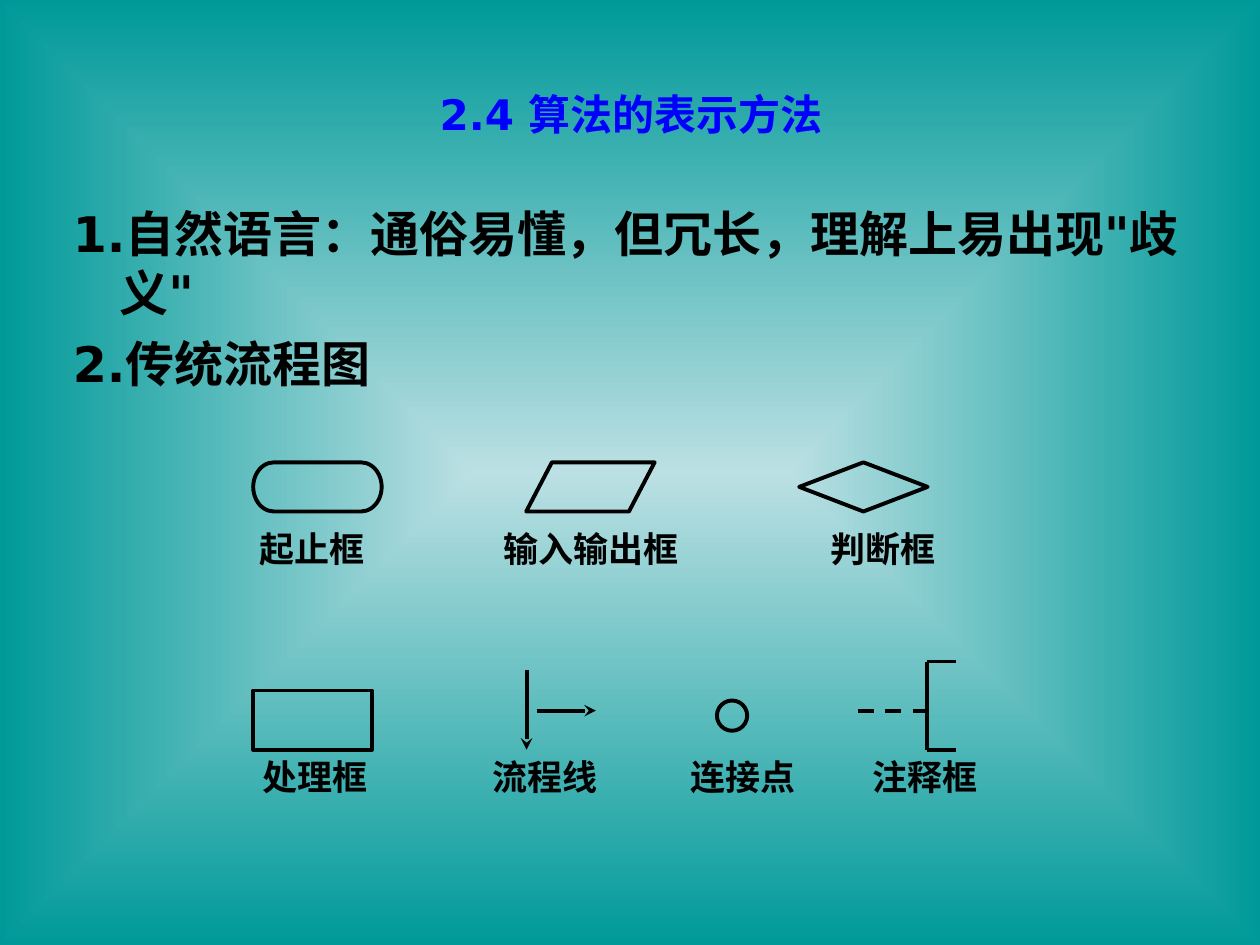
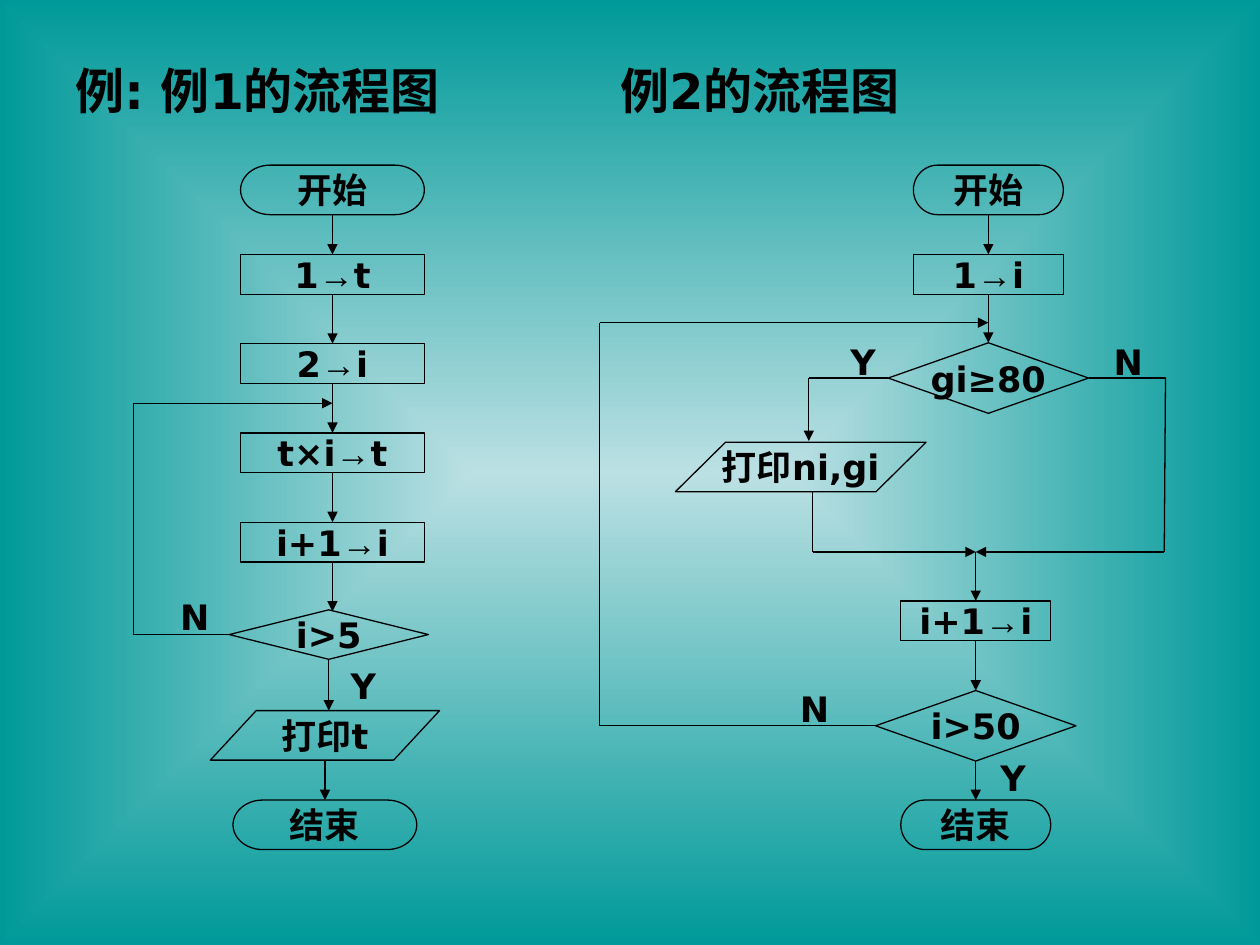
import pptx
import pptx.util
import pptx.dml.color
import pptx.enum.dml
import pptx.enum.shapes
import pptx.enum.text
import pptx.oxml
import pptx.oxml.ns

Pt = pptx.util.Pt
qn = pptx.oxml.ns.qn
SHAPE = pptx.enum.shapes.MSO_SHAPE
ALIGN = pptx.enum.text.PP_ALIGN
ANCHOR = pptx.enum.text.MSO_ANCHOR

FONT, ARROW_FONT = "DejaVu Sans", "Arial"
BLACK, TITLE_BLUE = "000000", "0000FF"
GLOW, TEAL = "BBE0E3", "009999"
TOP, LEFT, BOTTOM, RIGHT = range(4)
STEP_H, END_H = 22.7, 28.3  # heights of process boxes and of the other symbols


def rgb(value):
    return pptx.dml.color.RGBColor.from_string(value)


def add_xml(parent, tag, **attrs):
    el = parent.makeelement(qn(tag), attrs)
    parent.append(el)
    return el


def write(tf, text, size=20, color=BLACK, align=ALIGN.CENTER, anchor=ANCHOR.MIDDLE,
          wrap=False, before=0, hanging=0, tab=None):
    """Fill a text frame, one paragraph a line; arrows take their own font."""
    tf.word_wrap = wrap
    tf.vertical_anchor = anchor
    for i, line_text in enumerate(text.split("\n")):
        p = tf.add_paragraph() if i else tf.paragraphs[0]
        p.alignment = align
        if i:
            p.space_before = Pt(before)
        pPr = p._p.get_or_add_pPr()
        if hanging:
            pPr.set("marL", str(Pt(hanging)))
            pPr.set("indent", str(-Pt(hanging)))
        if tab:
            add_xml(add_xml(pPr, "a:tabLst"), "a:tab", pos=str(Pt(tab)), algn="l")
        for part in line_text.replace("→", "|→|").split("|"):
            r = p.add_run()
            r.text = part
            r.font.size, r.font.bold = Pt(size), True
            r.font.color.rgb = rgb(color)
            r.font.name = ARROW_FONT if part == "→" else FONT
            add_xml(r._r.get_or_add_rPr(), "a:ea", typeface=r.font.name)


def add_text(slide, x, y, w, h, text, **fmt):
    sp = slide.shapes.add_textbox(Pt(x), Pt(y), Pt(w), Pt(h))
    write(sp.text_frame, text, **fmt)
    return sp


def add_symbol(slide, kind, x, y, w, h, text="", weight=0.75):
    """Outlined flowchart symbol."""
    sp = slide.shapes.add_shape(kind, Pt(x), Pt(y), Pt(w), Pt(h))
    sp.shadow.inherit = False
    sp.fill.background()
    sp.line.color.rgb = rgb(BLACK)
    sp.line.width = Pt(weight)
    if text:
        write(sp.text_frame, text)
    return sp


def add_line(slide, start, end, head=None, weight=0.75, dashed=False):
    """Each end is a point (x, y) or a joint (shape, side)."""
    joints = [hasattr(e[0], "shape_id") for e in (start, end)]
    points = [(0, 0) if j else e for j, e in zip(joints, (start, end))]
    cx = slide.shapes.add_connector(pptx.enum.shapes.MSO_CONNECTOR.STRAIGHT,
                                    *[Pt(v) for point in points for v in point])
    if joints[0]:
        cx.begin_connect(*start)
    if joints[1]:
        cx.end_connect(*end)
    cx.line.color.rgb = rgb(BLACK)
    cx.line.width = Pt(weight)
    if dashed:
        cx.line.dash_style = pptx.enum.dml.MSO_LINE.DASH
    if head:
        add_xml(cx.line._get_or_add_ln(), "a:tailEnd", type=head)
    add_xml(cx._element.spPr, "a:effectLst")


def add_path(slide, *points, head=None, **fmt):
    """Chain of lines; only the last one has the arrowhead."""
    last = len(points) - 2
    for i, (start, end) in enumerate(zip(points, points[1:])):
        add_line(slide, start, end, head=head if i == last else None, **fmt)


def new_slide(prs):
    """Blank slide with the shared glow from the centre."""
    slide = prs.slides.add_slide(prs.slide_layouts[6])
    fill = slide.background.fill
    fill.gradient()
    for stop, color, pos in zip(fill.gradient_stops, (GLOW, TEAL), (0, 1)):
        stop.color.rgb = rgb(color)
        stop.position = pos
    grad = slide._element.find(".//" + qn("a:gradFill"))
    for lin in grad.findall(qn("a:lin")):
        grad.remove(lin)
    path = add_xml(grad, "a:path", path="rect")
    add_xml(path, "a:fillToRect", l="50000", t="50000", r="50000", b="50000")
    return slide


def symbol_legend(slide, x, y):
    """Flowchart symbols with their names, in two rows."""
    bold = {"weight": 2.25}
    # Upper row
    kinds = (SHAPE.FLOWCHART_TERMINATOR, SHAPE.FLOWCHART_DATA, SHAPE.FLOWCHART_DECISION)
    for i, kind in enumerate(kinds):
        add_symbol(slide, kind, x + 156 * i, y, 73.4, 28.1, **bold)

    # Lower row: process box, flow lines, connection point
    add_symbol(slide, SHAPE.FLOWCHART_PROCESS, x, y + 130.4, 67.7, 33.8, **bold)
    mid, base = y + 141.9, y + 164.2
    add_line(slide, (x + 156.2, y + 118.8), (x + 156.2, base), head="stealth", **bold)
    add_line(slide, (x + 162, mid), (x + 195.8, mid), head="stealth", **bold)
    add_symbol(slide, SHAPE.FLOWCHART_CONNECTOR, x + 265, y + 136.1, 17.3, 17.3, **bold)

    # Annotation bracket
    spine, tip, roof = x + 385.2, x + 401.8, y + 113.8
    add_line(slide, (x + 345.6, mid), (spine, mid), dashed=True, **bold)
    add_path(slide, (tip, roof), (spine, roof), (spine, base), (tip, base), **bold)

    # Names, centred on the given x
    rows = ((33.8, (("起止框", 33.9), ("输入输出框", 193), ("判断框", 360))),
            (164.2, (("处理框", 35.3), ("流程线", 166.7), ("连接点", 280.1),
                     ("注释框", 384.1))))
    for row_y, names in rows:
        for name, centre in names:
            add_text(slide, x + centre - 62, y + row_y, 124, 31.7, name,
                     anchor=ANCHOR.TOP, wrap=True)


def methods_slide(prs):
    slide = new_slide(prs)
    add_text(slide, 36.7, 46.8, 648, 36, "2.4 算法的表示方法", size=24,
             color=TITLE_BLUE, wrap=True)
    add_text(slide, 34.6, 113, 650, 115.2,
             "1.自然语言：通俗易懂，但冗长，理解上易出现\"歧义\"\n2.传统流程图",
             size=28, align=ALIGN.LEFT, anchor=ANCHOR.TOP, wrap=True,
             before=7, hanging=26.6)
    symbol_legend(slide, 144.7, 264.2)


def factorial_flow(slide, x, y):
    """Example 1: product loop."""
    w, axis = 105, x + 113.7
    left = axis - w / 2
    # Start and the four steps
    prev = add_symbol(slide, SHAPE.FLOWCHART_TERMINATOR, left, y, w, END_H, "开始")
    for i, step in enumerate(("1→t", "2→i", "t×i→t", "i+1→i"), 1):
        box = add_symbol(slide, SHAPE.FLOWCHART_PROCESS, left, y + 51 * i, w, STEP_H, step)
        add_line(slide, (prev, BOTTOM), (box, TOP), head="triangle")
        prev = box

    # Test, output and end
    test = add_symbol(slide, SHAPE.FLOWCHART_DECISION, x + 54.7, y + 254.1, 113.8, END_H, "i>5")
    add_line(slide, (prev, BOTTOM), (axis, y + 255), head="triangle")
    add_symbol(slide, SHAPE.FLOWCHART_DATA, x + 43.9, y + 311.7, 131, END_H, "打印t")
    add_line(slide, (test, BOTTOM), (x + 111.6, y + 311.7), head="triangle")
    end = add_symbol(slide, SHAPE.FLOWCHART_TERMINATOR, x + 56.9, y + 362.8, w, END_H, "结束")
    add_line(slide, (x + 109.4, y + 340), (end, TOP), head="triangle")

    # Loop back
    add_path(slide, (test, LEFT), (x, y + 268.25), (x, y + 136), (axis, y + 136),
             head="triangle")
    for label, dx, dy in (("Y", 105.1, 288.6), ("N", 8.7, 249)):
        add_text(slide, x + dx, y + dy, 52.6, 17.3, label)


def grades_flow(slide, x, y):
    """Example 2: print the grades of 80 and more."""
    w, test_w, test_h = 85.7, 114.5, 40.3
    axis, low_axis = x + 222.1, x + 214.9

    def centred(kind, centre, dy, width, h, text):
        return add_symbol(slide, kind, centre - width / 2, y + dy, width, h, text)

    # Symbols
    start = centred(SHAPE.FLOWCHART_TERMINATOR, axis, 0, w, END_H, "开始")
    init = centred(SHAPE.FLOWCHART_PROCESS, axis, 51, w, STEP_H, "1→i")
    grade = centred(SHAPE.FLOWCHART_DECISION, axis, 101.5, test_w, test_h, "gi≥80")
    centred(SHAPE.FLOWCHART_DATA, x + 114.9, 158.3, 143.3, END_H, "打印ni,gi")
    count = centred(SHAPE.FLOWCHART_PROCESS, low_axis, 249, w, STEP_H, "i+1→i")
    test = centred(SHAPE.FLOWCHART_DECISION, low_axis, 300.2, test_w, test_h, "i>50")
    end = centred(SHAPE.FLOWCHART_TERMINATOR, low_axis, 362.8, w, END_H, "结束")

    # Straight descents
    merge = (low_axis, y + 221)
    for a, b in (((start, BOTTOM), (init, TOP)), ((init, BOTTOM), (grade, TOP)),
                 (merge, (count, TOP)), ((count, BOTTOM), (test, TOP)),
                 ((test, BOTTOM), (end, TOP))):
        add_line(slide, a, b, head="triangle")

    # Branches and loop back
    branch, loop, back = y + 121.65, y + 320.35, y + 90
    for points in (
            ((grade, LEFT), (x + 119.5, branch), (x + 119.5, y + 157.6)),
            ((x + 121.7, y + 186.6), (x + 121.7, merge[1]), merge),
            ((grade, RIGHT), (x + 323.3, branch), (x + 322.6, merge[1]), merge),
            ((test, LEFT), (x, loop), (x, back), (axis, back))):
        add_path(slide, *points, head="triangle")

    for label, dx, dy in (("Y", 136.1, 96.4), ("N", 286.6, 96.4),
                          ("N", 107.3, 294.4), ("Y", 221.8, 334)):
        add_text(slide, x + dx, y + dy, 28.8, 31.7, label)


def examples_slide(prs):
    slide = new_slide(prs)
    add_text(slide, 36, 26, 648, 51, "例: 例1的流程图\t例2的流程图", size=28,
             align=ALIGN.LEFT, wrap=True, tab=311.5)
    factorial_flow(slide, 76.3, 94.4)
    grades_flow(slide, 342.7, 94.4)


def main():
    prs = pptx.Presentation()
    prs.slide_width, prs.slide_height = Pt(720), Pt(540)
    methods_slide(prs)
    examples_slide(prs)
    prs.save("out.pptx")


if __name__ == "__main__":
    main()
